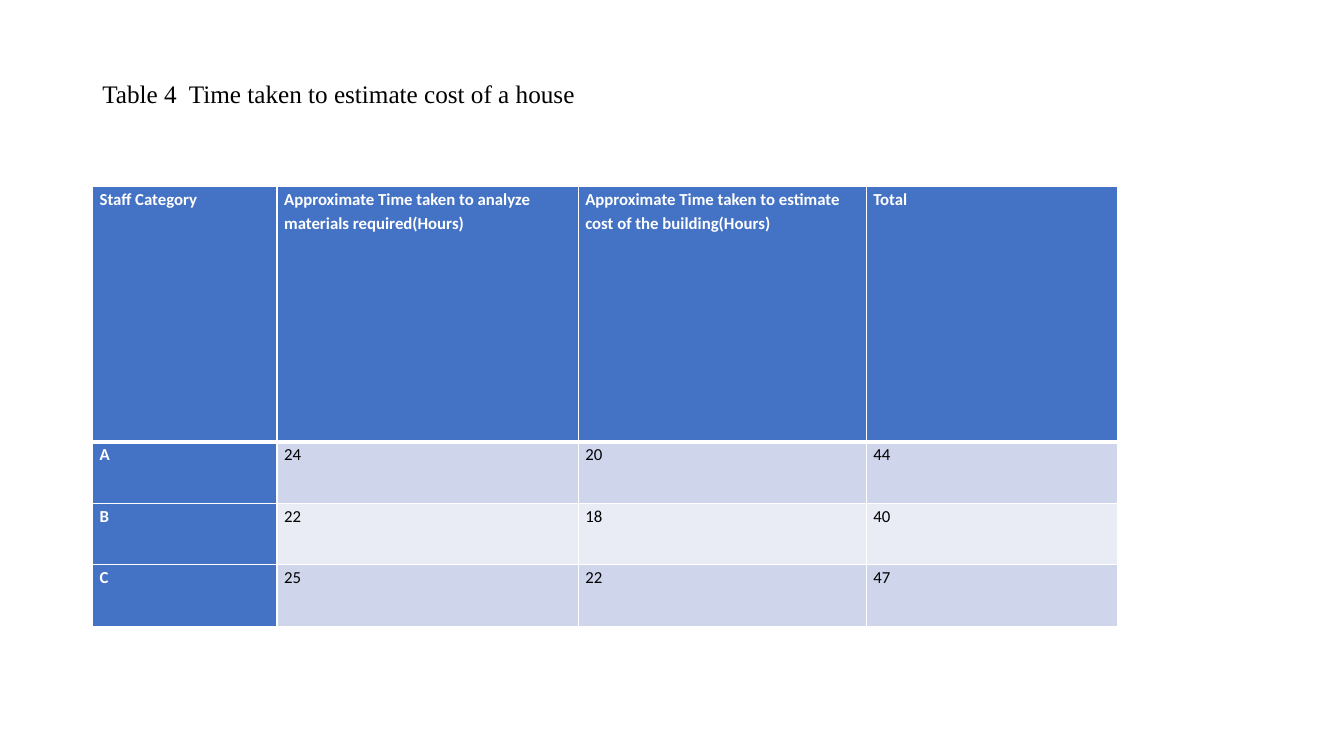
from dataclasses import dataclass
from lxml import etree
from pptx import Presentation
from pptx.dml.color import RGBColor as RGB
from pptx.enum.text import MSO_ANCHOR as Anchor
from pptx.oxml.ns import qn
from pptx.util import Cm, Pt


@dataclass(frozen=True)
class Theme:
    title_font: str = "Times New Roman"
    body_font: str = "Calibri"
    title_size: int = 18
    body_size: int = 12
    accent: str = "4472C4"
    bands: tuple = ("CFD5EA", "E9EBF5")
    light: str = "FFFFFF"
    dark: str = "000000"


THEME = Theme()
HEADER = ["Staff Category",
          "Approximate Time taken to analyze materials required(Hours)",
          "Approximate Time taken to estimate cost of the building(Hours)",
          "Total"]
HOURS = [("A", 24, 20), ("B", 22, 18), ("C", 25, 22)]
COL_WIDTHS = [4.65, 7.59, 7.26, 6.33]
HEADER_HEIGHT, ROW_HEIGHT = 6.43, 1.55


def set_font(p, name, size, color, bold=False):
    p.font.name, p.font.size, p.font.bold = name, Pt(size), bold
    p.font.color.rgb = RGB.from_string(color)


def set_borders(cell, widths):
    """Draw left, right, top and bottom lines, which must precede the fill."""
    tc_pr = cell._tc.get_or_add_tcPr()
    for i, (side, width) in enumerate(zip("LRTB", widths)):
        ln = etree.Element(qn(f"a:ln{side}"), w=str(Pt(width)))
        fill = etree.SubElement(ln, qn("a:solidFill"))
        etree.SubElement(fill, qn("a:srgbClr"), val=THEME.light)
        tc_pr.insert(i, ln)


def add_title(slide, text, left, top, width, height):
    tf = slide.shapes.add_textbox(Cm(left), Cm(top), Cm(width), Cm(height)).text_frame
    tf.word_wrap = True
    tf.vertical_anchor = Anchor.MIDDLE
    tf.margin_bottom = Cm(1.02)  # lifts the line above the middle
    p = tf.paragraphs[0]
    p.text = text
    p.line_spacing = 0.9
    set_font(p, THEME.title_font, THEME.title_size, THEME.dark)


def fill_cell(cell, text, row, col):
    is_heading = row == 0 or col == 0
    cell.margin_left = cell.margin_right = Cm(0.18)
    cell.margin_top = cell.margin_bottom = 0
    cell.fill.solid()
    color = THEME.accent if is_heading else THEME.bands[(row - 1) % 2]
    cell.fill.fore_color.rgb = RGB.from_string(color)
    set_borders(cell, (1, 1, 3 if row == 1 else 1, 3 if row == 0 else 1))
    p = cell.text_frame.paragraphs[0]
    p.text = str(text)
    p.line_spacing, p.space_after = 1.15, Pt(10)
    set_font(p, THEME.body_font, THEME.body_size,
             THEME.light if is_heading else THEME.dark, is_heading)


def add_time_table(slide, left, top):
    rows = [HEADER] + [(staff, a, b, a + b) for staff, a, b in HOURS]
    heights = [HEADER_HEIGHT] + [ROW_HEIGHT] * len(HOURS)
    table = slide.shapes.add_table(len(rows), len(HEADER), Cm(left), Cm(top),
                                   Cm(sum(COL_WIDTHS)), Cm(sum(heights))).table
    table.first_col = True
    for column, width in zip(table.columns, COL_WIDTHS):
        column.width = Cm(width)
    for r, (values, height) in enumerate(zip(rows, heights)):
        table.rows[r].height = Cm(height)
        for c, value in enumerate(values):
            fill_cell(table.cell(r, c), value, r, c)


prs = Presentation()
prs.slide_width, prs.slide_height = Cm(33.87), Cm(19.05)
slide = prs.slides.add_slide(prs.slide_layouts[6])

# Caption above, table below, on one left edge
add_title(slide, "Table 4  Time taken to estimate cost of a house", 2.33, 1.01, 29.21, 3.68)
add_time_table(slide, 2.33, 4.7)

prs.save("out.pptx")
